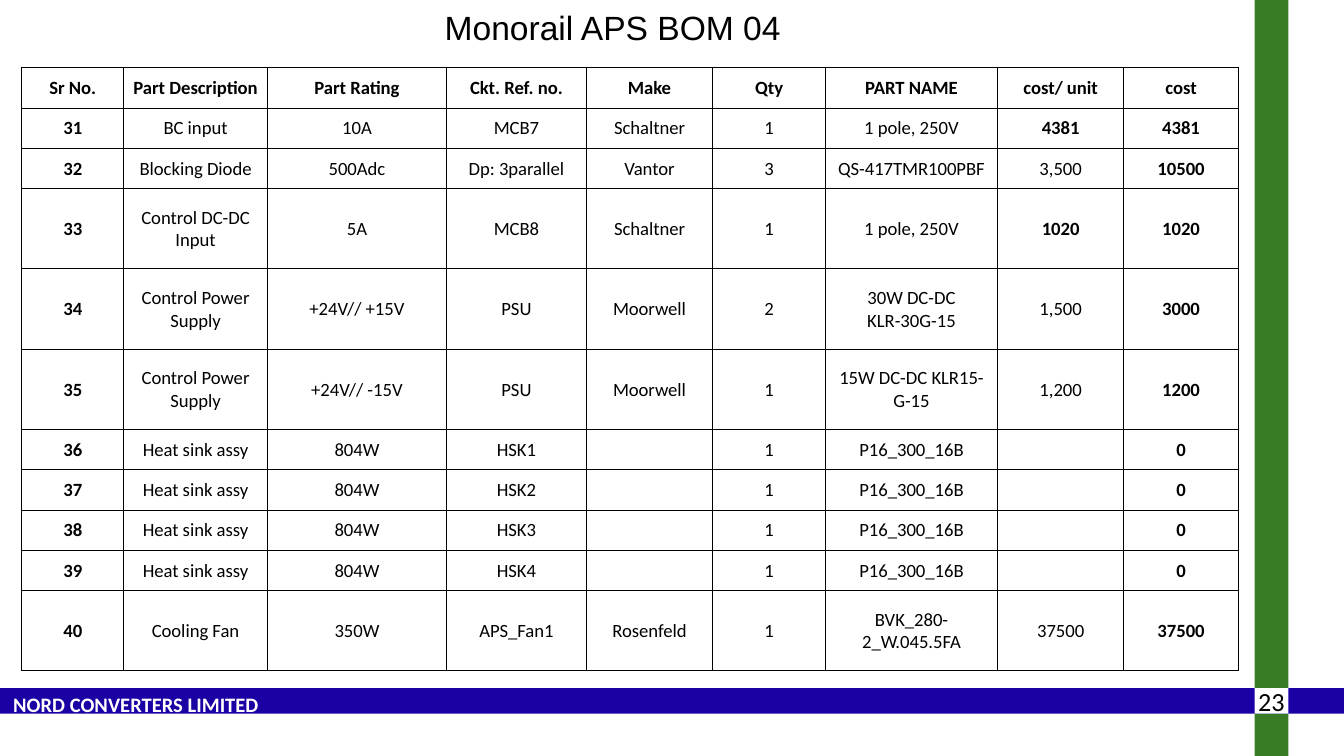
from lxml import etree
from pptx import Presentation
from pptx.dml.color import RGBColor
from pptx.enum.shapes import MSO_SHAPE
from pptx.enum.text import MSO_ANCHOR, MSO_AUTO_SIZE, PP_ALIGN
from pptx.oxml.ns import qn
from pptx.util import Cm, Pt

RECTANGLE = MSO_SHAPE.RECTANGLE
CENTER, LEFT = PP_ALIGN.CENTER, PP_ALIGN.LEFT
TOP, MIDDLE = MSO_ANCHOR.TOP, MSO_ANCHOR.MIDDLE
GROW = MSO_AUTO_SIZE.SHAPE_TO_FIT_TEXT
TITLE_ONLY = 5

BLACK, WHITE, GREEN, BLUE = "000000", "FFFFFF", "387C28", "1B00A4"
SLIDE_W, SLIDE_H = 25.4, 14.29
BAR_X, BAR_W = 23.71, 0.64
BAND_Y, BAND_H = 13.01, 0.48

COLUMN_WIDTHS = [1.93, 2.71, 3.39, 2.64, 2.39, 2.13, 3.25, 2.39, 2.16]
ROW_H = 0.76
CELL_SIZE = 10
TALL_ROWS = {"33", "34", "35", "40"}
BOLD_UNIT_COSTS = {"31", "33"}
UNIT_COST, COST = 7, 8

HEADER = ["Sr No.", "Part Description", "Part Rating", "Ckt. Ref. no.", "Make",
          "Qty", "PART NAME", "cost/ unit", "cost"]
HEAT_SINKS = [
    [str(35 + n), "Heat sink assy", "804W", f"HSK{n}", "", "1", "P16_300_16B", "", "0"]
    for n in range(1, 5)
]
PARTS = [
    ["31", "BC input", "10A", "MCB7", "Schaltner", "1", "1 pole, 250V", "4381", "4381"],
    ["32", "Blocking Diode", "500Adc", "Dp: 3parallel", "Vantor", "3",
     "QS-417TMR100PBF", "3,500", "10500"],
    ["33", "Control DC-DC Input", "5A", "MCB8", "Schaltner", "1", "1 pole, 250V",
     "1020", "1020"],
    ["34", "Control Power Supply", "+24V// +15V", "PSU", "Moorwell", "2",
     "30W DC-DC KLR-30G-15", "1,500", "3000"],
    ["35", "Control Power Supply", "+24V// -15V", "PSU", "Moorwell", "1",
     "15W DC-DC KLR15-G-15", "1,200", "1200"],
    *HEAT_SINKS,
    ["40", "Cooling Fan", "350W", "APS_Fan1", "Rosenfeld", "1",
     "BVK_280-2_W.045.5FA", "37500", "37500"],
]


def rgb(color):
    return RGBColor.from_string(color)


def write(p, text, size, color=BLACK, font="Calibri", bold=False, align=LEFT):
    p.alignment = align
    r = p.add_run()
    r.text = text
    r.font.size = Pt(size)
    r.font.name = font
    r.font.bold = bold
    r.font.color.rgb = rgb(color)


def add_block(s, left, top, width, height, color):
    sp = s.shapes.add_shape(RECTANGLE, Cm(left), Cm(top), Cm(width), Cm(height))
    sp.shadow.inherit = False
    sp.fill.solid()
    sp.fill.fore_color.rgb = rgb(color)
    sp.line.fill.background()
    return sp


def add_title(s, text):
    sp = s.shapes.title
    sp.left, sp.top, sp.width, sp.height = Cm(8.15), Cm(0), Cm(6.93), Cm(1.02)
    tf = sp.text_frame
    tf.word_wrap = False
    tf.vertical_anchor = TOP
    write(tf.paragraphs[0], text, 18, font="Arial")


def add_footer(s, text, page):
    add_block(s, 0, BAND_Y, SLIDE_W, BAND_H, BLUE)
    tf = add_block(s, BAR_X, BAND_Y, BAR_W, BAND_H, WHITE).text_frame
    tf.word_wrap = False
    tf.vertical_anchor = MIDDLE
    write(tf.paragraphs[0], page, 14, align=CENTER)
    tf = s.shapes.add_textbox(Cm(0), Cm(12.95), Cm(6), Cm(0.74)).text_frame
    tf.word_wrap = True
    tf.auto_size = GROW
    write(tf.paragraphs[0], text, 11, WHITE, bold=True)


def add_borders(cell, width=0.5, color=BLACK):
    tc_pr = cell._tc.get_or_add_tcPr()
    for side in ("a:lnL", "a:lnR", "a:lnT", "a:lnB"):
        ln = etree.SubElement(tc_pr, qn(side), w=str(Pt(width)))
        fill = etree.SubElement(ln, qn("a:solidFill"))
        etree.SubElement(fill, qn("a:srgbClr"), val=color)


def fill_cell(cell, text, bold):
    add_borders(cell)
    cell.fill.background()
    cell.vertical_anchor = MIDDLE
    cell.margin_left = cell.margin_right = cell.margin_top = Cm(0.02)
    cell.margin_bottom = Cm(0)
    p = cell.text_frame.paragraphs[0]
    if text:
        write(p, text, CELL_SIZE, bold=bold, align=CENTER)
    else:
        # The end mark's size keeps an empty cell from stretching its row.
        etree.SubElement(p._p, qn("a:endParaRPr"), sz=str(CELL_SIZE * 100))


def is_bold(row, col):
    return (row is HEADER or col in (0, COST)
            or col == UNIT_COST and row[0] in BOLD_UNIT_COSTS)


def add_parts_table(s):
    rows = [HEADER, *PARTS]
    heights = [ROW_H * (2 if row[0] in TALL_ROWS else 1) for row in rows]
    table = s.shapes.add_table(
        len(rows), len(HEADER), Cm(0.41), Cm(1.28),
        Cm(sum(COLUMN_WIDTHS)), Cm(sum(heights))).table
    table.first_row = table.horz_banding = False
    for column, width in zip(table.columns, COLUMN_WIDTHS):
        column.width = Cm(width)
    for i, (row, height) in enumerate(zip(rows, heights)):
        table.rows[i].height = Cm(height)
        for j, text in enumerate(row):
            fill_cell(table.cell(i, j), text, is_bold(row, j))


def main():
    prs = Presentation()
    prs.slide_width, prs.slide_height = Cm(SLIDE_W), Cm(SLIDE_H)
    s = prs.slides.add_slide(prs.slide_layouts[TITLE_ONLY])
    add_block(s, BAR_X, 0, BAR_W, SLIDE_H, GREEN)
    add_footer(s, "NORD CONVERTERS LIMITED", "23")
    add_title(s, "Monorail APS BOM 04")
    add_parts_table(s)
    prs.save("out.pptx")


if __name__ == "__main__":
    main()
